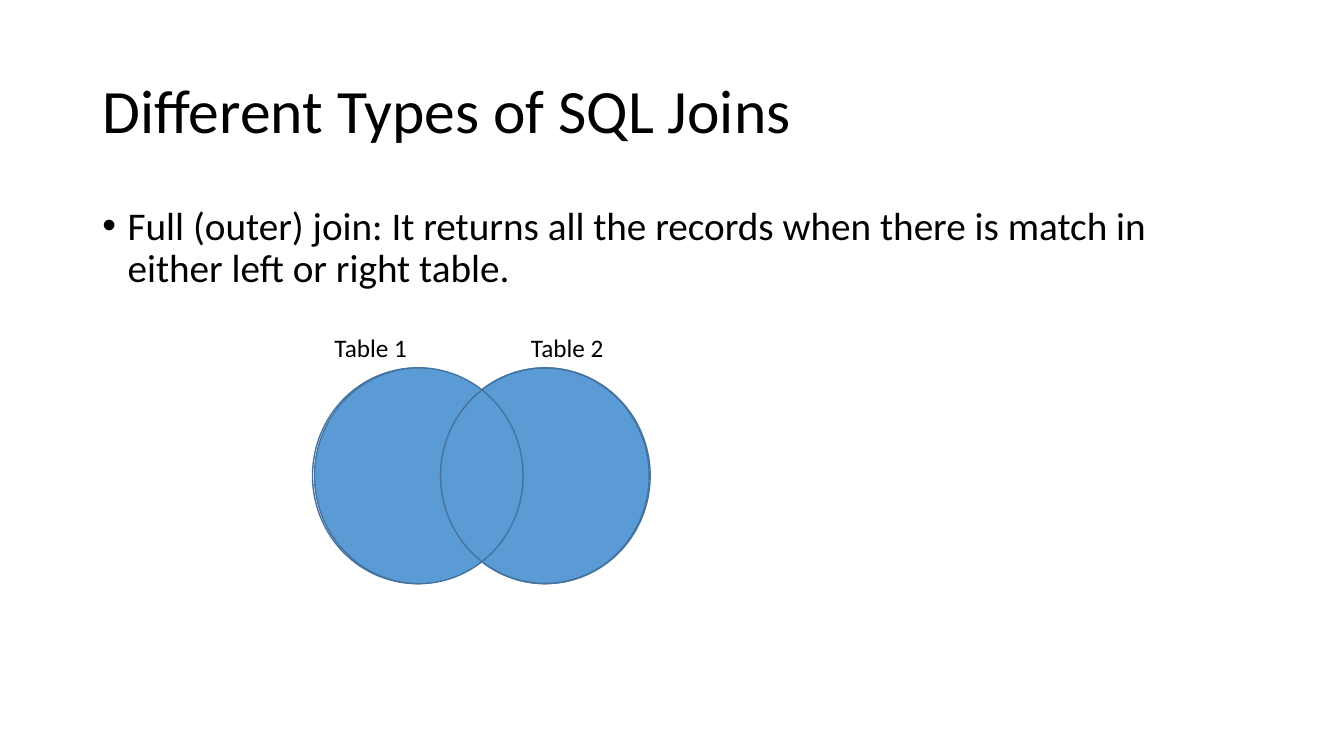
"""Build a slide that explains the full outer join with two overlapping circles."""
from dataclasses import dataclass
from typing import Optional

from lxml import etree
from pptx import Presentation
from pptx import util as u
from pptx.dml.color import RGBColor
from pptx.enum import shapes, text
from pptx.oxml import ns

SLIDE_WIDTH, SLIDE_HEIGHT = u.Inches(13.333), u.Inches(7.5)
COLUMN, ROW = SLIDE_WIDTH / 40, SLIDE_HEIGHT / 30
FONT = "Calibri"
BLACK = RGBColor(0x00, 0x00, 0x00)
JOIN_BLUE = RGBColor(0x5B, 0x9B, 0xD5)
EDGE_BLUE = RGBColor(0x43, 0x73, 0x9E)
CIRCLE_TOP, CIRCLE_ROWS = 14.6, 8.56


@dataclass(frozen=True)
class Area:
    """A place on the grid, in columns and rows."""
    left: float
    top: float
    width: float
    height: float

    def emu(self) -> tuple[int, ...]:
        """Return left, top, width and height in EMU."""
        return (round(self.left * COLUMN), round(self.top * ROW),
                round(self.width * COLUMN), round(self.height * ROW))


@dataclass(frozen=True)
class Circle:
    """One circle of the diagram; without a fill it is an outline."""
    left: float
    width: float
    fill: Optional[RGBColor] = None


@dataclass(frozen=True)
class Label:
    """The name of a table above its circle."""
    wording: str
    left: float


CIRCLES = (
    Circle(13.11, 6.21, JOIN_BLUE),
    Circle(9.3, 6.24),
    Circle(9.36, 6.21, JOIN_BLUE),
    Circle(13.11, 6.24),
)
LABELS = (Label("Table 1", 9.66), Label("Table 2", 15.51))


def write(frame, wording: str, size: float):
    """Write a left-aligned run into the first paragraph and return that paragraph."""
    paragraph = frame.paragraphs[0]
    paragraph.alignment = text.PP_ALIGN.LEFT
    run = paragraph.add_run()
    run.text = wording
    run.font.name, run.font.size = FONT, u.Pt(size)
    run.font.color.rgb = BLACK
    return paragraph


def fill_placeholder(holder, area: Area, wording: str, size: float,
                     anchor: text.MSO_ANCHOR):
    """Move a placeholder, write its text and return the paragraph."""
    holder.left, holder.top, holder.width, holder.height = area.emu()
    frame = holder.text_frame
    frame.word_wrap, frame.auto_size = True, text.MSO_AUTO_SIZE.NONE
    frame.vertical_anchor = anchor
    paragraph = write(frame, wording, size)
    paragraph.line_spacing = 0.9
    return paragraph


def add_bullet(paragraph) -> None:
    """Give a paragraph a round bullet with a hanging indent."""
    properties = paragraph._p.get_or_add_pPr()
    properties.set("marL", str(u.Inches(0.25)))
    properties.set("indent", str(-u.Inches(0.25)))
    etree.SubElement(properties, ns.qn("a:buFont")).set("typeface", "Arial")
    etree.SubElement(properties, ns.qn("a:buChar")).set("char", "•")


def draw_circle(slide, circle: Circle) -> None:
    """Draw one circle of the diagram."""
    area = Area(circle.left, CIRCLE_TOP, circle.width, CIRCLE_ROWS)
    disc = slide.shapes.add_shape(shapes.MSO_SHAPE.OVAL, *area.emu())
    disc.shadow.inherit = False
    if circle.fill is None:
        disc.fill.background()
    else:
        disc.fill.solid()
        disc.fill.fore_color.rgb = circle.fill
    disc.line.color.rgb, disc.line.width = EDGE_BLUE, u.Pt(1)


def draw_label(slide, label: Label) -> None:
    """Write the name of a table."""
    area = Area(label.left, 13, 2.79, 1.6)
    frame = slide.shapes.add_textbox(*area.emu()).text_frame
    frame.word_wrap, frame.auto_size = False, text.MSO_AUTO_SIZE.SHAPE_TO_FIT_TEXT
    write(frame, label.wording, 18)


def main() -> None:
    """Build and save the slide."""
    deck = Presentation()
    deck.slide_width, deck.slide_height = SLIDE_WIDTH, SLIDE_HEIGHT
    slide = deck.slides.add_slide(deck.slide_layouts[1])
    fill_placeholder(slide.shapes.title, Area(2.75, 1.6, 34.5, 5.8),
                     "Different Types of SQL Joins", 44, text.MSO_ANCHOR.MIDDLE)
    definition = fill_placeholder(
        slide.placeholders[1], Area(2.75, 8, 34.5, 19.04),
        "Full (outer) join: It returns all the records when there is match in "
        "either left or right table.", 28, text.MSO_ANCHOR.TOP)
    definition.space_before = u.Pt(10)
    add_bullet(definition)
    for circle in CIRCLES:
        draw_circle(slide, circle)
    for label in LABELS:
        draw_label(slide, label)
    deck.save("out.pptx")


if __name__ == "__main__":
    main()
